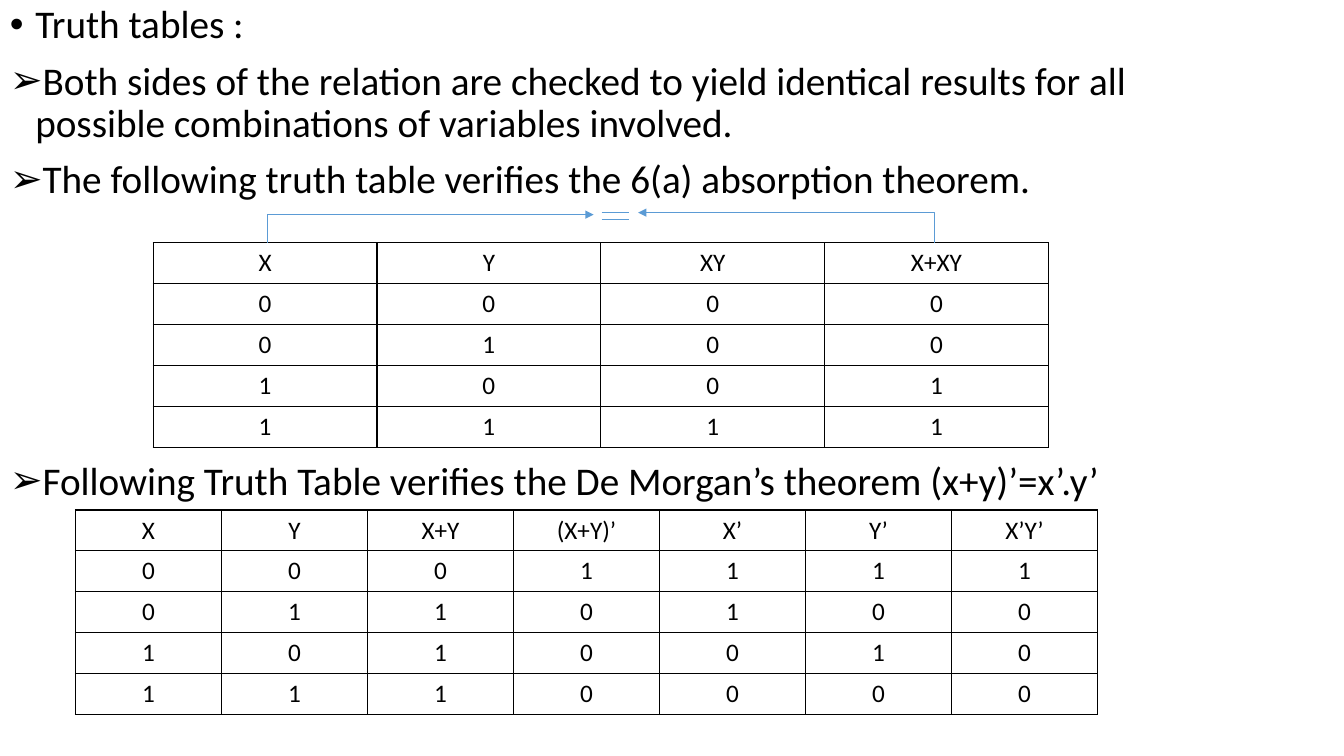
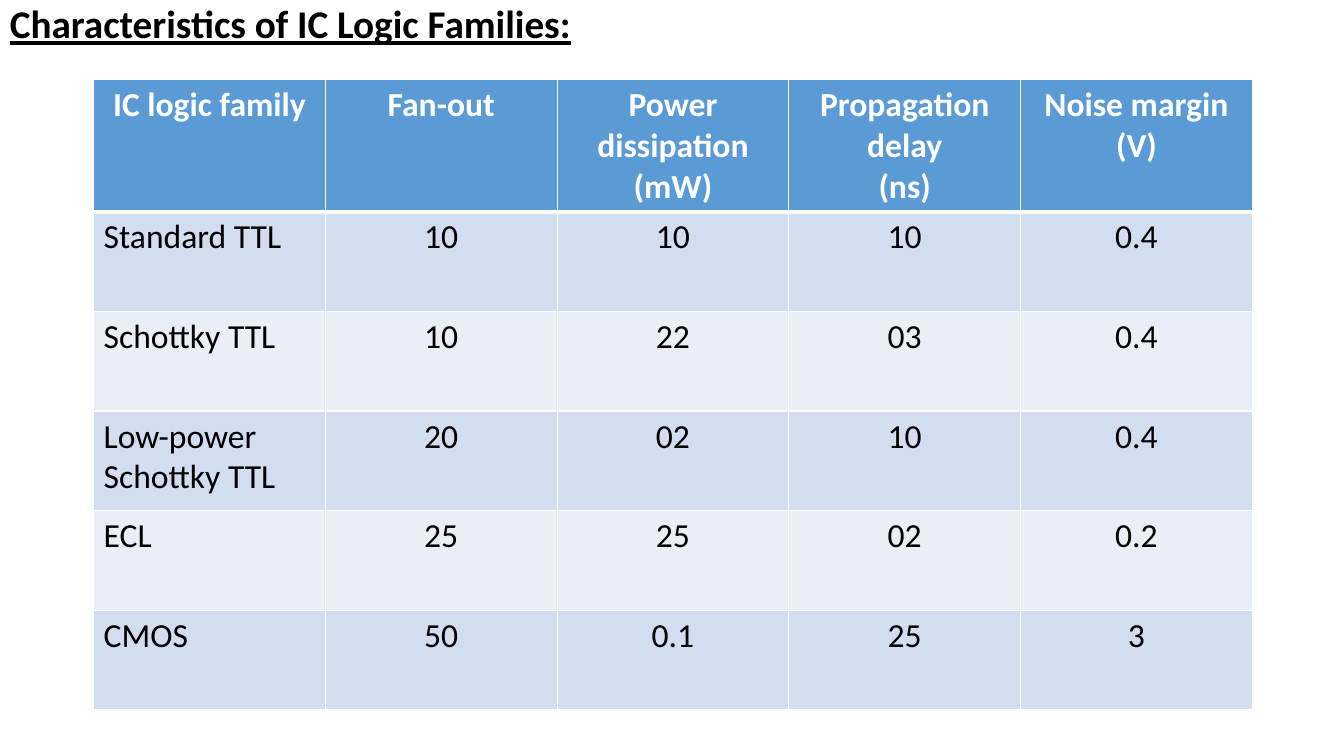
"""Build two slides on truth tables and IC logic families."""
from lxml import etree
from pptx import Presentation
from pptx.dml.color import RGBColor
from pptx.enum import shapes, text
from pptx.oxml.ns import qn
from pptx.util import Cm, Pt

BLACK = RGBColor(0x00, 0x00, 0x00)
WHITE = RGBColor(0xFF, 0xFF, 0xFF)
BLUE = RGBColor(0x5B, 0x9B, 0xD5)
BANDS = RGBColor(0xD2, 0xDE, 0xEF), RGBColor(0xEA, 0xEF, 0xF7)
FONT = "Calibri"
BODY_SIZE = 28

INTRO = [
    ("•", "Truth tables :"),
    ("➢", "Both sides of the relation are checked to yield identical results "
          "for all possible combinations of variables involved."),
    ("➢", "The following truth table verifies the 6(a) absorption theorem."),
]
DE_MORGAN_INTRO = [
    ("➢", "Following Truth Table verifies the De Morgan’s theorem (x+y)’=x’.y’"),
]
ABSORPTION = [
    ("X", "Y", "XY", "X+XY"),
    "0000",
    "0100",
    "1001",
    "1111",
]
DE_MORGAN = [
    ("X", "Y", "X+Y", "(X+Y)’", "X’", "Y’", "X’Y’"),
    "0001111",
    "0110100",
    "1010010",
    "1110000",
]
HEADING = [("", "Characteristics of IC Logic Families:")]
FAMILIES = [
    ("IC logic family", "Fan-out", "Power dissipation\n(mW)",
     "Propagation delay\n(ns)", "Noise margin\n(V)"),
    ("Standard TTL", "10", "10", "10", "0.4"),
    ("Schottky TTL", "10", "22", "03", "0.4"),
    ("Low-power\nSchottky TTL", "20", "02", "10", "0.4"),
    ("ECL", "25", "25", "02", "0.2"),
    ("CMOS", "50", "0.1", "25", "3"),
]
ARROWS = [((6.73, 6.12), (14.96, 5.41)), ((23.55, 6.12), (16.08, 5.36))]
EQUAL_SIGN = [((15.16, y), (15.86, y)) for y in (5.36, 5.54)]


def format_runs(p, size, color, bold=False, underline=False):
    for r in p.runs:
        f = r.font
        f.name, f.size, f.bold, f.underline = FONT, Pt(size), bold, underline
        f.color.rgb = color


def add_body(slide, top, height, items, bold=False, underline=False):
    tf = slide.shapes.add_textbox(0, Cm(top), Cm(31.55), Cm(height)).text_frame
    tf.word_wrap = True
    for i, (bullet, line) in enumerate(items):
        p = tf.paragraphs[0] if i == 0 else tf.add_paragraph()
        p.text = line
        if bullet:
            pPr = p._p.get_or_add_pPr()
            pPr.set("marL", str(Cm(0.64)))
            pPr.set("indent", str(-Cm(0.64)))
            etree.SubElement(pPr, qn("a:buFont"), typeface="Arial")
            etree.SubElement(pPr, qn("a:buChar"), char=bullet)
        p.line_spacing = 0.9
        p.space_before = Pt(10 if i else 0)
        format_runs(p, BODY_SIZE, BLACK, bold, underline)


def set_borders(cell, color, top=1, bottom=1):
    tcPr = cell._tc.get_or_add_tcPr()
    for side, width in (("L", 1), ("R", 1), ("T", top), ("B", bottom)):
        ln = etree.SubElement(tcPr, qn(f"a:ln{side}"), w=str(Pt(width)))
        fill = etree.SubElement(ln, qn("a:solidFill"))
        etree.SubElement(fill, qn("a:srgbClr"), val=str(color))


def add_grid(slide, left, top, col_width, row_heights, rows, style_cell):
    n_cols = len(rows[0])
    table = slide.shapes.add_table(
        len(rows), n_cols, Cm(left), Cm(top),
        Cm(col_width * n_cols), Cm(sum(row_heights))).table
    table.first_row = table.horz_banding = False
    for col in table.columns:
        col.width = Cm(col_width)
    for i, (height, values) in enumerate(zip(row_heights, rows)):
        table.rows[i].height = Cm(height)
        for j, value in enumerate(values):
            cell = table.cell(i, j)
            cell.text_frame.text = value
            style_cell(cell, i, j)


def style_truth(cell, i, j):
    set_borders(cell, BLACK)
    cell.fill.background()
    cell.vertical_anchor = text.MSO_ANCHOR.MIDDLE
    for p in cell.text_frame.paragraphs:
        p.alignment = text.PP_ALIGN.CENTER
        format_runs(p, 18, BLACK)


def style_family(cell, i, j):
    header = i == 0
    set_borders(cell, WHITE, top=3 if i == 1 else 1, bottom=3 if header else 1)
    cell.fill.solid()
    cell.fill.fore_color.rgb = BLUE if header else BANDS[(i - 1) % 2]
    for p in cell.text_frame.paragraphs:
        if header or j:
            p.alignment = text.PP_ALIGN.CENTER
        format_runs(p, 24, WHITE if header else BLACK, bold=header)


def add_line(slide, begin, end, arrow=False):
    kind = shapes.MSO_CONNECTOR.ELBOW if arrow else shapes.MSO_CONNECTOR.STRAIGHT
    line = slide.shapes.add_connector(kind, *map(Cm, begin + end))
    line.line.color.rgb = BLUE
    line.line.width = Pt(0.5)
    spPr = line._element.spPr
    if arrow:
        guides = spPr.find(qn("a:prstGeom")).get_or_add_avLst()
        etree.SubElement(guides, qn("a:gd"), name="adj1", fmla="val 0")
        etree.SubElement(spPr.find(qn("a:ln")), qn("a:tailEnd"), type="triangle")
    etree.SubElement(spPr, qn("a:effectLst"))


def main():
    prs = Presentation()
    prs.slide_width, prs.slide_height = Cm(33.87), Cm(19.05)
    blank = prs.slide_layouts[6]

    s = prs.slides.add_slide(blank)
    add_body(s, 0, 5.3, INTRO)
    add_body(s, 11.5, 1.3, DE_MORGAN_INTRO)
    truth_heights = [1.03] * 5
    add_grid(s, 3.86, 6.12, 5.64, truth_heights, ABSORPTION, style_truth)
    add_grid(s, 1.9, 12.85, 3.68, truth_heights, DE_MORGAN, style_truth)
    for begin, end in ARROWS:
        add_line(s, begin, end, arrow=True)
    for begin, end in EQUAL_SIGN:
        add_line(s, begin, end)

    s = prs.slides.add_slide(blank)
    add_body(s, 0, 1.3, HEADING, bold=True, underline=True)
    add_grid(s, 2.36, 2.01, 5.84, [3.33] + [2.51] * 5, FAMILIES, style_family)

    prs.save("out.pptx")


if __name__ == "__main__":
    main()
